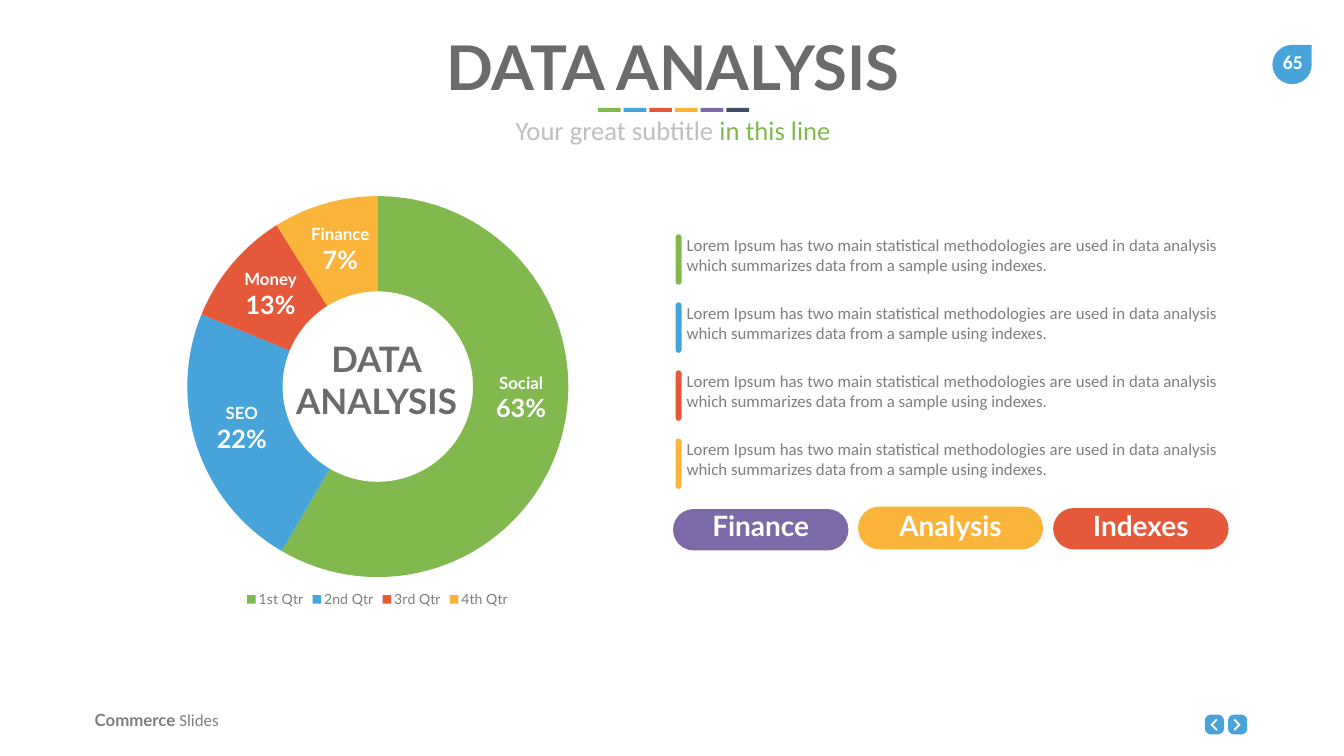
from lxml import etree
from pptx import Presentation, util as u
from pptx.chart.data import CategoryChartData
from pptx.dml.color import RGBColor
from pptx.enum import chart as ch, shapes as sh, text as tx
from pptx.oxml.ns import qn

GREEN = RGBColor(0x81, 0xB9, 0x4F)
BLUE = RGBColor(0x46, 0xA4, 0xDB)
RED = RGBColor(0xE5, 0x58, 0x3A)
GOLD = RGBColor(0xF9, 0xB4, 0x39)
PLUM = RGBColor(0x7C, 0x69, 0xA8)
NAVY = RGBColor(0x40, 0x4F, 0x64)
DARK = RGBColor(0x6B, 0x6B, 0x6B)
GREY = RGBColor(0x7E, 0x7E, 0x7E)
PALE = RGBColor(0xBF, 0xBF, 0xBF)
WHITE = RGBColor(0xFF, 0xFF, 0xFF)
SHAPE = sh.MSO_SHAPE
ALIGN = tx.PP_ALIGN
LOREM = ("Lorem Ipsum has two main statistical methodologies are used in "
         "data analysis which summarizes data from a sample using indexes.")


def place(item, box):
    item.left, item.top, item.width, item.height = map(u.Inches, box)


def write(item, lines, size=24, font="Lato", color=WHITE, bold=False,
          align=ALIGN.CENTER, wrap=True, pad=(0.1, 0.05)):
    frame = item.text_frame
    frame.auto_size = tx.MSO_AUTO_SIZE.NONE
    frame.word_wrap = wrap
    frame.vertical_anchor = tx.MSO_ANCHOR.TOP
    frame.margin_left = frame.margin_right = u.Inches(pad[0])
    frame.margin_top = frame.margin_bottom = u.Inches(pad[1])
    for i, line in enumerate(lines):
        para = frame.paragraphs[0] if i == 0 else frame.add_paragraph()
        para.alignment = align
        para.space_before = u.Pt(0)
        para.line_spacing = 1.0
        for part, own in line:
            run = para.add_run()
            run.text = part
            run.font.size = u.Pt(own.get("size", size))
            run.font.name = own.get("font", font)
            run.font.bold = own.get("bold", bold)
            run.font.color.rgb = own.get("color", color)


def label(slide, box, lines, **style):
    item = slide.shapes.add_textbox(*map(u.Inches, box))
    write(item, lines, **style)


def paint(item, color):
    item.shadow.inherit = False
    item.fill.solid()
    item.fill.fore_color.rgb = color
    item.line.fill.background()


def block(slide, kind, box, color, curve=None):
    item = slide.shapes.add_shape(kind, *map(u.Inches, box))
    paint(item, color)
    if curve is not None:
        item.adjustments[0] = curve


def header(slide, box):
    x, y, w, h = box
    title, sub = slide.placeholders
    place(title, (x, y, w, 1.58))
    write(title, [[("DATA ANALYSIS", {})]], size=88, color=DARK, bold=True)
    place(sub, (x, y + 1.67, w, h - 1.67))
    write(sub, [[("Your great subtitle ", {}),
                 ("in this line", {"color": GREEN})]],
          size=38, font="Calibri", color=PALE)
    for i, color in enumerate((GREEN, BLUE, RED, GOLD, PLUM, NAVY)):
        block(slide, SHAPE.RECTANGLE,
              (x + 9.96 + i * 0.51, y + 1.61, 0.45, 0.08), color)


def donut(slide, box):
    x, y, w, h = box
    data = CategoryChartData()
    data.categories = ["1st Qtr", "2nd Qtr", "3rd Qtr", "4th Qtr"]
    data.add_series("Series 1", (59, 23, 10, 9))
    chart = slide.shapes.add_chart(
        ch.XL_CHART_TYPE.DOUGHNUT, *map(u.Inches, box), data).chart
    chart.has_title = False
    chart.font.size = u.Pt(18)
    chart.font.name = "Lato"
    chart.font.color.rgb = GREY
    chart.has_legend = True
    chart.legend.position = ch.XL_LEGEND_POSITION.BOTTOM
    chart.legend.include_in_layout = False
    chart.legend.font.size = u.Pt(20)
    chart.legend.font.name = "Lato"
    chart.legend.font.color.rgb = GREY
    plot = chart.plots[0]
    plot.vary_by_categories = True
    for i, color in enumerate((GREEN, BLUE, RED, GOLD)):
        form = plot.series[0].points[i].format
        form.fill.solid()
        form.fill.fore_color.rgb = color
        form.line.fill.background()
    area = chart._chartSpace.chart.plotArea
    area.find(".//" + qn("c:holeSize")).set("val", "56")
    for old in area.findall(qn("c:layout")):
        area.remove(old)
    layout = etree.Element(qn("c:layout"))
    manual = etree.SubElement(layout, qn("c:manualLayout"))
    for tag, value in (("layoutTarget", "inner"), ("xMode", "edge"),
                       ("yMode", "edge"), ("x", "0.06"), ("y", "0.017"),
                       ("w", "0.881"), ("h", "0.903")):
        etree.SubElement(manual, qn("c:" + tag)).set("val", value)
    area.insert(0, layout)

    label(slide, (x + 2.62, y + 2.95, 3.3, 1.68),
          [[("DATA", {})], [("ANALYSIS", {})]],
          size=50, color=DARK, bold=True, wrap=False, pad=(0, 0))
    for name, share, dx, dy, wide in (
            ("Social", "63%", 6.54, 3.59, 1.19),
            ("SEO", "22%", 1, 4.19, 1.19),
            ("Money", "13%", 1.54, 1.54, 1.25),
            ("Finance", "7%", 2.86, 0.64, 1.38)):
        label(slide, (x + dx, y + dy, wide, 1.11),
              [[(name, {})], [(share, {"size": 36})]], bold=True, wrap=False)


def notes(slide, box):
    x, y, w, h = box
    step = h / 4
    for i, color in enumerate((GREEN, BLUE, RED, GOLD)):
        top = y + i * step
        label(slide, (x, top, w, 1.05), [[(LOREM, {})]], font="Calibri",
              color=GREY, align=ALIGN.JUSTIFY, pad=(0.24, 0.12))
        block(slide, SHAPE.ROUNDED_RECTANGLE,
              (x + 0.02, top + 0.12, 0.12, 1), color, 0.5)


def pills(slide, box):
    x, y, w, h = box
    for name, color, dx, dy, wide, high in (
            ("Finance", PLUM, 0, 0.05, 3.48, 0.82),
            ("Analysis", GOLD, 3.67, 0, 3.67, 0.85),
            ("Indexes", RED, 7.54, 0.03, 3.48, 0.82)):
        block(slide, SHAPE.ROUNDED_RECTANGLE,
              (x + dx, y + dy, wide, high), color, 0.5)
        label(slide, (x + dx + wide / 2 - 1.8, y + 0.04, 3.6, 0.67),
              [[(name, {})]], size=40, bold=True, pad=(0, 0))


def badge(slide, box):
    x, y, w, h = box
    block(slide, SHAPE.TEAR, box, BLUE)
    label(slide, (x - 0.03, y + 0.01, 0.87, 0.67), [[("65", {})]],
          size=28, font="Calibri", bold=True, wrap=False, pad=(0.2, 0.1))


def arrow(slide, box, flip):
    x, y, w, h = box
    block(slide, SHAPE.ROUNDED_RECTANGLE, box, BLUE, 0.3)
    outline = [(0.12, 0), (0.14, 0.03), (0.05, 0.12),
               (0.14, 0.21), (0.12, 0.24), (0, 0.12)]
    spots = [(u.Inches(x + 0.11 + (0.14 - dx if flip else dx)),
              u.Inches(y + 0.08 + dy)) for dx, dy in outline]
    pen = slide.shapes.build_freeform(*spots[0])
    pen.add_line_segments(spots[1:], close=True)
    paint(pen.convert_to_shape(), WHITE)


def footer(slide, box):
    x, y, w, h = box
    label(slide, (x, y, 4, h),
          [[("Commerce ", {"bold": True}), ("Slides", {"font": "Calibri"})]],
          color=GREY, align=ALIGN.LEFT)
    for i in range(2):
        arrow(slide, (x + w - 0.84 + i * 0.46, y + 0.14, 0.38, 0.39), i == 1)


def main():
    deck = Presentation()
    deck.slide_width, deck.slide_height = u.Inches(26.66), u.Inches(15)
    slide = deck.slides.add_slide(deck.slide_layouts[0])
    header(slide, (1.9, 0.53, 22.9, 2.41))
    badge(slide, (25.24, 0.89, 0.78, 0.78))
    donut(slide, (3.2, 3.75, 8.58, 8.37))
    notes(slide, (13.38, 4.53, 11, 5.4))
    pills(slide, (13.35, 10.05, 11.02, 0.87))
    footer(slide, (1.78, 14.04, 22.96, 0.5))
    deck.save("out.pptx")


if __name__ == "__main__":
    main()
